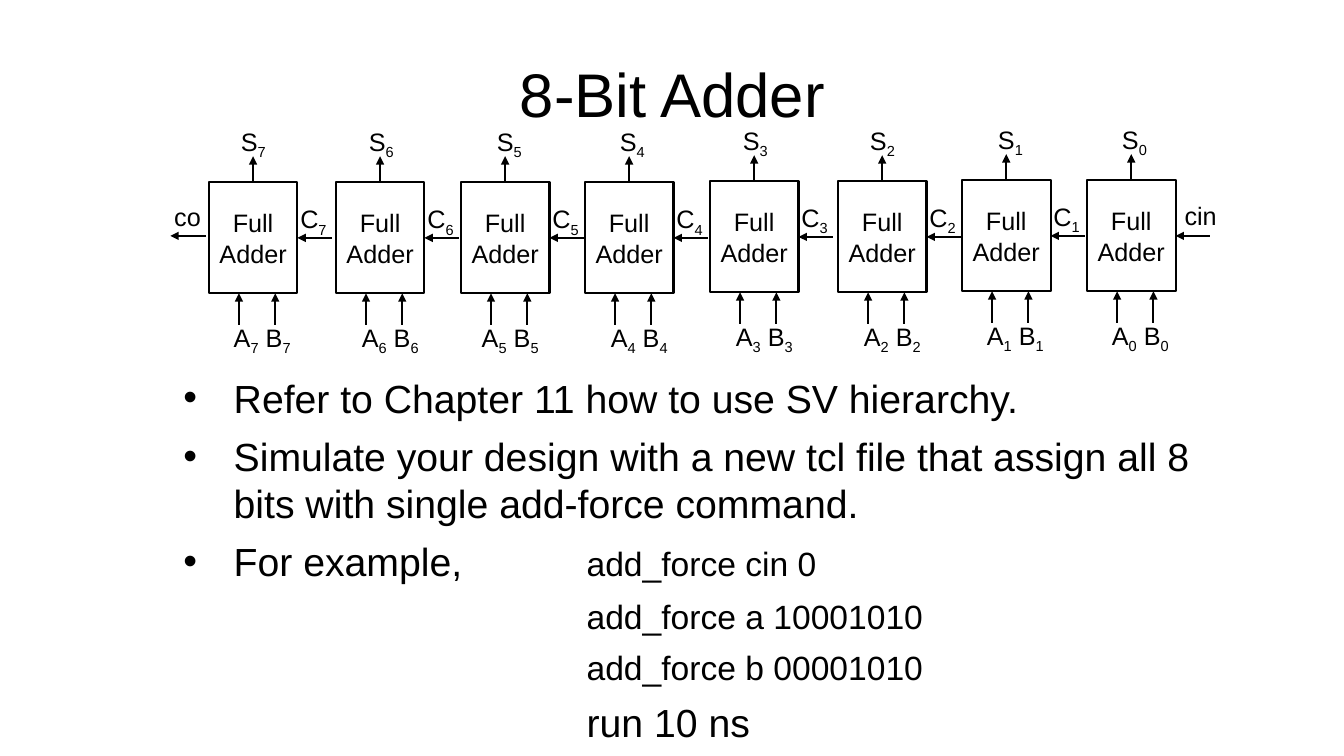
from lxml import etree
from pptx import Presentation
from pptx.dml.color import RGBColor
from pptx.enum.shapes import MSO_CONNECTOR, MSO_SHAPE
from pptx.enum.text import MSO_ANCHOR, PP_ALIGN
from pptx.oxml.ns import qn
from pptx.util import Emu, Pt

BLACK = RGBColor(0x00, 0x00, 0x00)
WHITE = RGBColor(0xFF, 0xFF, 0xFF)
STRAIGHT = MSO_CONNECTOR.STRAIGHT
RECTANGLE = MSO_SHAPE.RECTANGLE
TOP, MIDDLE = MSO_ANCHOR.TOP, MSO_ANCHOR.MIDDLE
LEFT, CENTER = PP_ALIGN.LEFT, PP_ALIGN.CENTER
TOP_SIDE, RIGHT_SIDE = 0, 3

EMU_PER_PX = 9144  # 100 px to the inch
TITLE_ONLY_LAYOUT = 5

# Adder size, and one row per bit from 0 to 7:
# left, top, offset of the sum label, offset of the input labels
ADDER_WIDTH, ADDER_HEIGHT = 88, 110
ADDERS = [
    (1078, 179, 25, 15),
    (954, 179, 26, 15),
    (831, 180, 22, 16),
    (704, 180, 23, 16),
    (580, 181, 25, 16),
    (457, 181, 26, 11),
    (333, 181, 23, 16),
    (207, 181, 22, 15),
]

BULLETS = [
    [("Refer to Chapter 11 how to use SV hierarchy.", 28)],
    [("Simulate your design with a new tcl file that assign all 8 bits "
      "with single add-force command.", 28)],
    [("For example, \t\t\t", 28), ("add_force cin 0", 24)],
]
COMMANDS = [("add_force a 10001010", 24), ("add_force b 00001010", 24), ("run 10 ns", 28)]


def px(length):
    return Emu(length * EMU_PER_PX)


def add_text(paragraph, text, size=18, color=BLACK, font="Arial", subscript=False):
    run = paragraph.add_run()
    run.text = text
    run.font.size = Pt(size)
    run.font.name = font
    run.font.color.rgb = color
    if subscript:
        run._r.get_or_add_rPr().set("baseline", "-25000")


class SlideBuilder:
    def __init__(self, slide, color=BLACK, line_width=1.5):
        self.slide = slide
        self.color = color
        self.line_width = Pt(line_width)

    def frame(self, shape, anchor=TOP, side=10, end=5):
        text_frame = shape.text_frame
        text_frame.word_wrap = True
        text_frame.vertical_anchor = anchor
        text_frame.margin_left = text_frame.margin_right = px(side)
        text_frame.margin_top = text_frame.margin_bottom = px(end)
        return text_frame

    def text_box(self, left, top, width, height):
        shape = self.slide.shapes.add_textbox(px(left), px(top), px(width), px(height))
        return self.frame(shape)

    def title(self, text, left, top, width, height):
        shape = self.slide.shapes.title
        shape.left, shape.top = px(left), px(top)
        shape.width, shape.height = px(width), px(height)
        paragraph = self.frame(shape, MIDDLE).paragraphs[0]
        paragraph.alignment = CENTER
        add_text(paragraph, text, size=44)

    def label(self, pairs, left, top, width):
        """Write (text, subscript) pairs on one line."""
        paragraph = self.text_box(left, top, width, 40).paragraphs[0]
        paragraph.alignment = LEFT
        for text, subscript in pairs:
            add_text(paragraph, text)
            if subscript:
                add_text(paragraph, subscript, subscript=True)

    def box(self, text, left, top, width, height):
        shape = self.slide.shapes.add_shape(
            RECTANGLE, px(left), px(top), px(width), px(height))
        shape.shadow.inherit = False
        shape.fill.background()
        shape.line.color.rgb = self.color
        shape.line.width = self.line_width
        paragraph = self.frame(shape, MIDDLE, side=5).paragraphs[0]
        paragraph.alignment = CENTER
        add_text(paragraph, text)
        return shape

    def arrow(self, start, end):
        connector = self.slide.shapes.add_connector(
            STRAIGHT, px(start[0]), px(start[1]), px(end[0]), px(end[1]))
        connector.line.color.rgb = self.color
        connector.line.width = self.line_width
        etree.SubElement(connector.line._get_or_add_ln(), qn("a:tailEnd"), type="triangle")
        etree.SubElement(connector._element.spPr, qn("a:effectLst"))
        return connector

    def paragraphs(self, text_frame, rows, margin, indent=0, bullet=None):
        for runs in rows:
            paragraph = text_frame.paragraphs[0]
            if paragraph.runs:
                paragraph = text_frame.add_paragraph()
            paragraph.space_before = Pt(8)
            properties = paragraph._p.get_or_add_pPr()
            properties.set("marL", str(px(margin)))
            properties.set("indent", str(px(indent)))
            properties.set("defTabSz", str(px(50)))
            if bullet:
                etree.SubElement(properties, qn("a:buFont"), typeface="Arial")
                etree.SubElement(properties, qn("a:buChar"), char=bullet)
            for text, size in runs:
                add_text(paragraph, text, size=size)

    def adder(self, bit, left, top, sum_offset, input_offset):
        number = str(bit)
        bottom, middle = top + ADDER_HEIGHT, top + ADDER_HEIGHT // 2
        right, center = left + ADDER_WIDTH, left + ADDER_WIDTH // 2
        box = self.box("Full Adder", left, top, ADDER_WIDTH, ADDER_HEIGHT)

        # Inputs
        for offset in (30, 66):
            self.arrow((left + offset, bottom + 31), (left + offset, bottom))
        self.label([("A", number), (" B", number)], left + input_offset, top + 134, 86)

        # Sum
        sum_arrow = self.arrow((center, top), (center, top - 26))
        sum_arrow.begin_connect(box, TOP_SIDE)
        self.label([("S", number)], left + sum_offset, top - 61, 54)

        # Carry in
        carry_arrow = self.arrow((right + 34, middle), (right, middle))
        carry_arrow.end_connect(box, RIGHT_SIDE)
        if bit:
            self.label([("C", number)], left + 81, top + 16, 53)
        else:
            self.label([("cin", "")], left + 87, top + 15, 60)


def main():
    presentation = Presentation()
    presentation.slide_width, presentation.slide_height = px(1333), px(750)
    slide = presentation.slides.add_slide(presentation.slide_layouts[TITLE_ONLY_LAYOUT])
    slide.background.fill.solid()
    slide.background.fill.fore_color.rgb = WHITE
    builder = SlideBuilder(slide)

    builder.title("8-Bit Adder", 67, 30, 1200, 125)

    # Instructions
    body = builder.text_box(172, 366, 1050, 388)
    builder.paragraphs(body, BULLETS, margin=50, indent=-50, bullet="•")
    builder.paragraphs(body, [[command] for command in COMMANDS], margin=400)

    # Adder chain and its carry out
    for bit, place in enumerate(ADDERS):
        builder.adder(bit, *place)
    builder.arrow((204, 234), (169, 234))
    builder.label([("co", "")], 163, 195, 53)

    presentation.save("out.pptx")


if __name__ == "__main__":
    main()
